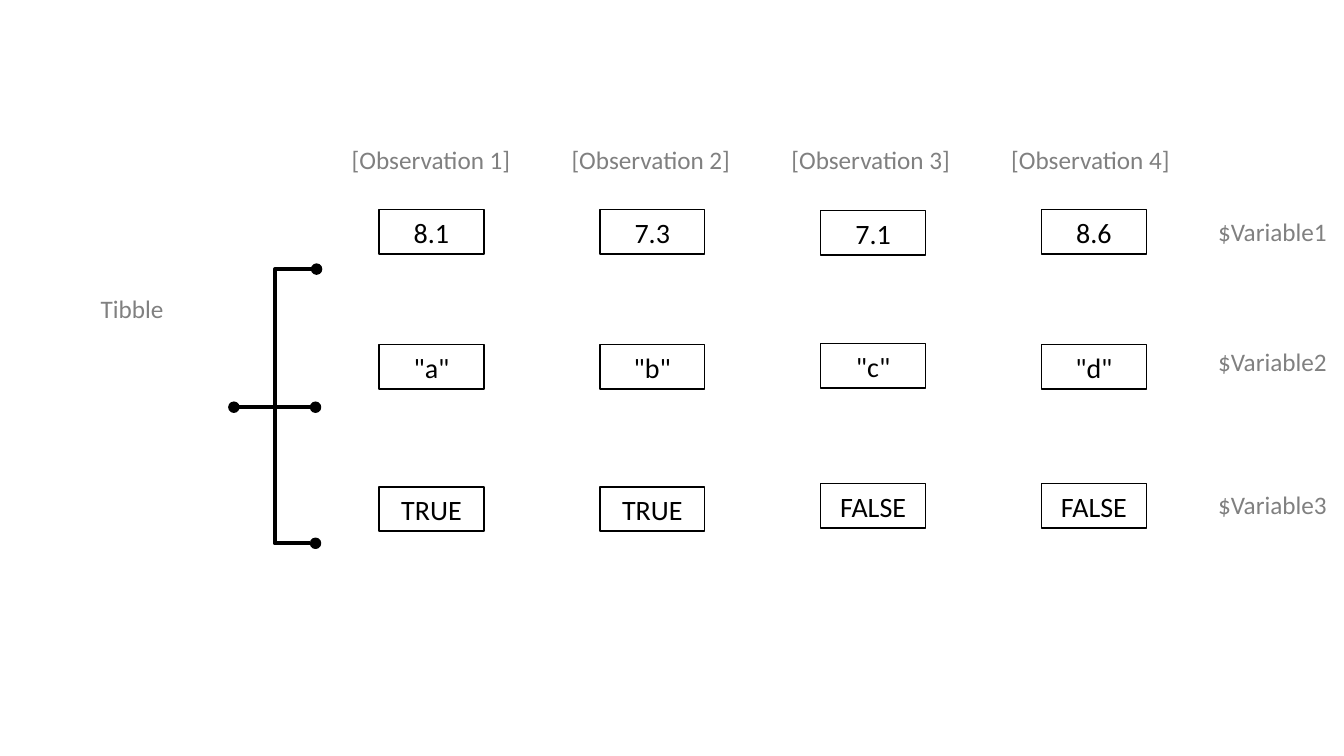
import pptx
import pptx.dml.color
import pptx.enum.shapes
import pptx.enum.text
import pptx.oxml
import pptx.oxml.ns
import pptx.util
from dataclasses import dataclass

Inches = pptx.util.Inches
Pt = pptx.util.Pt
RGB = pptx.dml.color.RGBColor
SHAPE = pptx.enum.shapes.MSO_SHAPE
CONNECTOR = pptx.enum.shapes.MSO_CONNECTOR


@dataclass(frozen=True)
class Theme:
    font: str = "Calibri"
    ink: RGB = RGB(0, 0, 0)
    label: RGB = RGB(0x80, 0x80, 0x80)
    cell: RGB = RGB(0xFF, 0xFF, 0xFF)
    cell_size: int = 20
    label_size: int = 18


theme = Theme()


def write(sp, text, size, color):
    tf = sp.text_frame
    tf.word_wrap = True
    tf.vertical_anchor = pptx.enum.text.MSO_ANCHOR.MIDDLE
    p = tf.paragraphs[0]
    p.alignment = pptx.enum.text.PP_ALIGN.CENTER
    r = p.add_run()
    r.text = text
    r.font.name = theme.font
    r.font.size = Pt(size)
    r.font.color.rgb = color


def add_box(kind, x, y, w, h, fill):
    sp = slide.shapes.add_shape(kind, Inches(x), Inches(y), Inches(w), Inches(h))
    sp.shadow.inherit = False
    sp.fill.solid()
    sp.fill.fore_color.rgb = fill
    sp.line.color.rgb = theme.ink
    sp.line.width = Pt(1)
    return sp


prs = pptx.Presentation()
prs.slide_width, prs.slide_height = Inches(13.33), Inches(7.5)
slide = prs.slides.add_slide(prs.slide_layouts[6])

# Bracket: one root dot and three branch dots
dot = 0.1
root_x, root_y = 2.27, 3.99
branches = [(3.09, 2.62, CONNECTOR.ELBOW),
            (3.08, 5.34, CONNECTOR.ELBOW),
            (3.08, root_y, CONNECTOR.STRAIGHT)]
add_box(SHAPE.OVAL, root_x, root_y, dot, dot, theme.ink)
for x, y, kind in branches:
    add_box(SHAPE.OVAL, x, y, dot, dot, theme.ink)
    line = slide.shapes.add_connector(
        kind, Inches(root_x + dot), Inches(root_y + dot / 2),
        Inches(x), Inches(y + dot / 2))
    line.line.color.rgb = theme.ink
    line.line.width = Pt(3)
    pptx.oxml.ns.qn("a:effectLst")
    line._element.spPr.append(pptx.oxml.parse_xml(
        "<a:effectLst %s/>" % pptx.oxml.ns.nsdecls("a")))

# Grid of values: one row per variable, with the top of each cell
col_left, col_pitch = 3.76, 2.19
rows = [(["8.1", "7.3", "7.1", "8.6"], [2.08, 2.08, 2.09, 2.08]),
        (['"a"', '"b"', '"c"', '"d"'], [3.42, 3.42, 3.41, 3.42]),
        (["TRUE", "TRUE", "FALSE", "FALSE"], [4.83, 4.83, 4.8, 4.8])]
for values, tops in rows:
    for col, (value, top) in enumerate(zip(values, tops)):
        sp = add_box(SHAPE.RECTANGLE, col_left + col * col_pitch, top, 1.04, 0.44, theme.cell)
        color = sp.fill._xPr.find(".//" + pptx.oxml.ns.qn("a:srgbClr"))
        color.append(pptx.oxml.parse_xml(
            '<a:alpha %s val="90000"/>' % pptx.oxml.ns.nsdecls("a")))
        write(sp, value, theme.cell_size, theme.ink)

# Grey labels: variables, observations and the tibble itself
labels = [("Tibble", 0.29, 2.86, 2.04)]
labels += [(f"$Variable{i}", 11.91, y, 1.42) for i, y in enumerate([2.1, 3.39, 4.8], 1)]
labels += [(f"[Observation {i + 1}]", 3.18 + i * 2.18, 1.38, 2.19) for i in range(4)]
for text, x, y, w in labels:
    sp = slide.shapes.add_textbox(Inches(x), Inches(y), Inches(w), Inches(0.4))
    write(sp, text, theme.label_size, theme.label)

prs.save("out.pptx")
